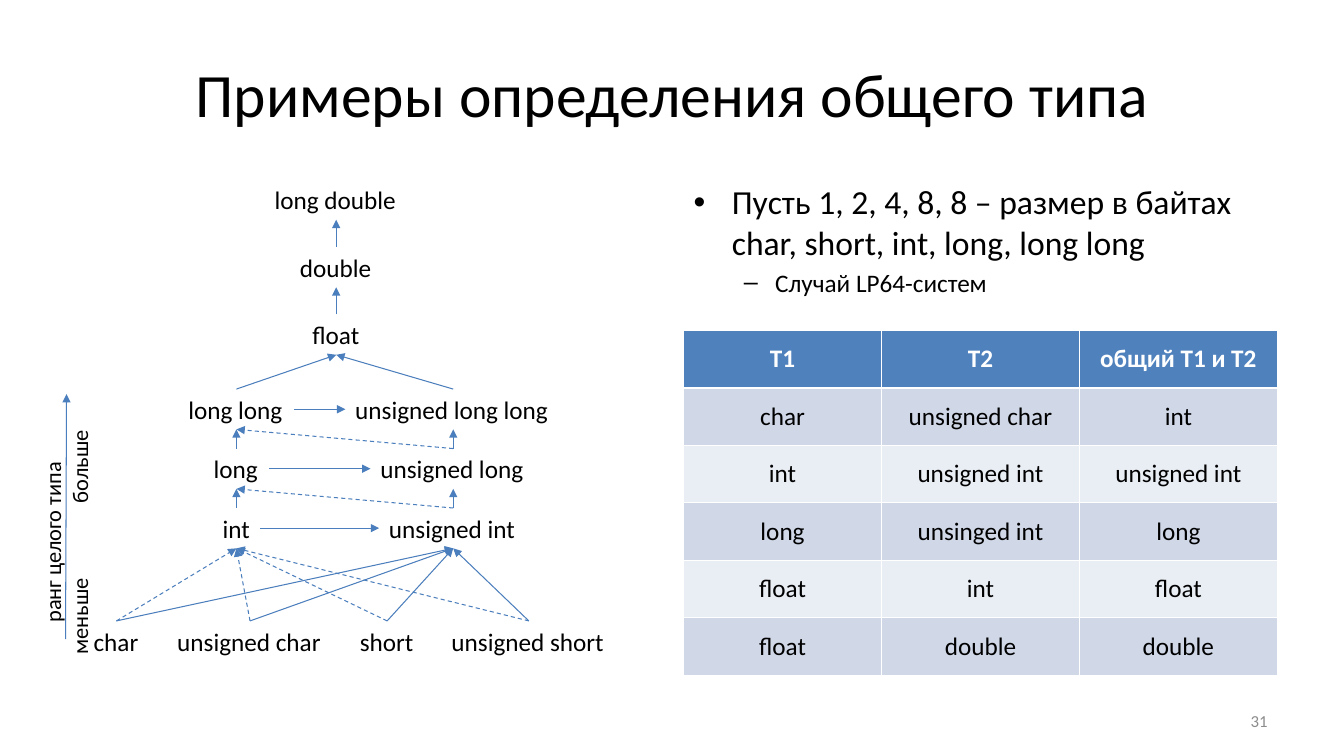
from dataclasses import dataclass

import pptx
import pptx.dml.color
import pptx.enum.dml
import pptx.enum.shapes
import pptx.enum.text
import pptx.oxml
import pptx.oxml.ns
import pptx.util
from pptx.util import Inches

COLORS = {"text": "000000", "arrow": "4B7EBC", "header": "4F81BD", "header_text": "FFFFFF",
          "band_dark": "D0D8E8", "band_light": "E9EDF4", "number": "8C8C8C"}
FONT = "Calibri"
ALIGN = pptx.enum.text.PP_ALIGN
ANCHOR = pptx.enum.text.MSO_ANCHOR
TOP, LEFT, BOTTOM, RIGHT = range(4)
NODE_HEIGHT = 0.4
SIGNED_X, UNSIGNED_X, REAL_X = 2.345, 4.495, 3.335
SMALL_TOP = 6.16


@dataclass(frozen=True)
class TypeNode:
    name: str
    center: float
    top: float
    width: float


@dataclass(frozen=True)
class Conversion:
    source: str
    target: str
    exit_side: int = TOP
    entry_side: int = BOTTOM
    dashed: bool = False


@dataclass(frozen=True)
class Bullet:
    text: str
    mark: str
    size: float
    margin: float
    hanging: float


NODES = [
    TypeNode("long double", REAL_X, 1.78, 1.42),
    TypeNode("double", REAL_X, 2.45, 0.92),
    TypeNode("float", REAL_X, 3.12, 0.67),
    TypeNode("long long", SIGNED_X, 3.86, 1.15),
    TypeNode("unsigned long long", UNSIGNED_X, 3.86, 2.14),
    TypeNode("long", SIGNED_X, 4.45, 0.65),
    TypeNode("unsigned long", UNSIGNED_X, 4.45, 1.64),
    TypeNode("int", SIGNED_X, 5.04, 0.47),
    TypeNode("unsigned int", UNSIGNED_X, 5.04, 1.47),
    TypeNode("char", 1.155, SMALL_TOP, 0.65),
    TypeNode("unsigned char", 2.48, SMALL_TOP, 1.64),
    TypeNode("short", 3.84, SMALL_TOP, 0.74),
    TypeNode("unsigned short", 5.245, SMALL_TOP, 1.73),
]
SMALL_TYPES = ["char", "unsigned char", "short", "unsigned short"]
RANKS = ["int", "long", "long long"]
CONVERSIONS = [
    *(Conversion(small, "int", dashed=True) for small in SMALL_TYPES),
    *(Conversion(small, "unsigned int") for small in SMALL_TYPES),
    *(Conversion(rank, f"unsigned {rank}", RIGHT, LEFT) for rank in RANKS),
    Conversion("long long", "float"),
    Conversion("unsigned long long", "float"),
    Conversion("float", "double"),
    Conversion("double", "long double"),
]
for lower, higher in zip(RANKS, RANKS[1:]):
    CONVERSIONS += [
        Conversion(lower, higher),
        Conversion(f"unsigned {lower}", f"unsigned {higher}"),
        Conversion(f"unsigned {lower}", higher, dashed=True),
    ]

BULLETS = [
    Bullet("Пусть 1, 2, 4, 8, 8 – размер в байтах char, short, int, long, long long",
           "•", 24, 0.38, 0.38),
    Bullet("Случай LP64-систем", "–", 18, 0.81, 0.31),
]
COMMON_TYPES = [
    ("T1", "T2", "общий T1 и T2"),
    ("char", "unsigned char", "int"),
    ("int", "unsigned int", "unsigned int"),
    ("long", "unsinged int", "long"),
    ("float", "int", "float"),
    ("float", "double", "double"),
]


def rgb(color: str) -> pptx.dml.color.RGBColor:
    return pptx.dml.color.RGBColor.from_string(COLORS[color])


def write(paragraph, text: str, size: float, color: str = "text",
          align=ALIGN.LEFT, bold: bool = False) -> None:
    paragraph.alignment = align
    run = paragraph.add_run()
    run.text = text
    run.font.name = FONT
    run.font.size = pptx.util.Pt(size)
    run.font.bold = bold
    run.font.color.rgb = rgb(color)


def add_box(slide, left: float, top: float, width: float, height: float,
            wrap: bool = True, anchor=ANCHOR.TOP):
    box = slide.shapes.add_textbox(Inches(left), Inches(top), Inches(width), Inches(height))
    box.text_frame.word_wrap = wrap
    box.text_frame.vertical_anchor = anchor
    return box


def add_arrow(slide, start: tuple[float, float] = (0, 0),
              end: tuple[float, float] = (0, 0), dashed: bool = False):
    arrow = slide.shapes.add_connector(pptx.enum.shapes.MSO_CONNECTOR.STRAIGHT,
                                       *map(Inches, start + end))
    arrow.line.color.rgb = rgb("arrow")
    arrow.line.width = pptx.util.Pt(0.75)
    if dashed:
        arrow.line.dash_style = pptx.enum.dml.MSO_LINE.DASH
    line = arrow.line._get_or_add_ln()
    line.append(pptx.oxml.parse_xml(
        f'<a:tailEnd {pptx.oxml.ns.nsdecls("a")} type="triangle"/>'))
    line.addnext(pptx.oxml.parse_xml(f'<a:effectLst {pptx.oxml.ns.nsdecls("a")}/>'))
    return arrow


def add_type_graph(slide) -> None:
    boxes = {}
    for node in NODES:
        box = add_box(slide, node.center - node.width / 2, node.top,
                      node.width, NODE_HEIGHT, wrap=False)
        write(box.text_frame.paragraphs[0], node.name, 18)
        boxes[node.name] = box
    for conversion in CONVERSIONS:
        arrow = add_arrow(slide, dashed=conversion.dashed)
        arrow.begin_connect(boxes[conversion.source], conversion.exit_side)
        arrow.end_connect(boxes[conversion.target], conversion.entry_side)


def add_rank_axis(slide) -> None:
    label = add_box(slide, -0.82, 5.06, 2.95, 0.64, wrap=False)
    label.rotation = 270
    frame = label.text_frame
    write(frame.paragraphs[0], "ранг целого типа", 16, align=ALIGN.CENTER)
    write(frame.add_paragraph(), "меньше\t\tбольше", 16, align=ALIGN.CENTER)
    add_arrow(slide, (0.65, 6.34), (0.66, 3.91))


def add_bullets(slide) -> None:
    frame = add_box(slide, 6.78, 1.75, 5.89, 1.4).text_frame
    for index, bullet in enumerate(BULLETS):
        paragraph = frame.add_paragraph() if index else frame.paragraphs[0]
        paragraph.level = index
        paragraph.space_before = pptx.util.Pt(bullet.size * 0.2)
        write(paragraph, bullet.text, bullet.size)
        properties = paragraph._p.get_or_add_pPr()
        properties.set("marL", str(Inches(bullet.margin)))
        properties.set("indent", str(-Inches(bullet.hanging)))
        for tag in (f'buFont {pptx.oxml.ns.nsdecls("a")} typeface="Arial"',
                    f'buChar {pptx.oxml.ns.nsdecls("a")} char="{bullet.mark}"'):
            properties.append(pptx.oxml.parse_xml(f"<a:{tag}/>"))


def add_common_type_table(slide) -> None:
    table = slide.shapes.add_table(len(COMMON_TYPES), len(COMMON_TYPES[0]), Inches(6.78),
                                   Inches(3.28), Inches(5.89), Inches(3.42)).table
    for row, names in enumerate(COMMON_TYPES):
        is_header = row == 0
        fill = "header" if is_header else "band_dark" if row % 2 else "band_light"
        for column, name in enumerate(names):
            cell = table.cell(row, column)
            cell.fill.solid()
            cell.fill.fore_color.rgb = rgb(fill)
            cell.vertical_anchor = ANCHOR.MIDDLE
            write(cell.text_frame.paragraphs[0], name, 18,
                  "header_text" if is_header else "text", ALIGN.CENTER, is_header)


def main() -> None:
    presentation = pptx.Presentation()
    presentation.slide_width = Inches(13.33)
    presentation.slide_height = Inches(7.5)
    slide = presentation.slides.add_slide(presentation.slide_layouts[6])
    title = add_box(slide, 0.67, 0.3, 12, 1.25, anchor=ANCHOR.MIDDLE)
    write(title.text_frame.paragraphs[0], "Примеры определения общего типа", 44,
          align=ALIGN.CENTER)
    add_bullets(slide)
    add_common_type_table(slide)
    add_type_graph(slide)
    add_rank_axis(slide)
    page_number = add_box(slide, 9.56, 6.95, 3.11, 0.4, anchor=ANCHOR.MIDDLE)
    write(page_number.text_frame.paragraphs[0], "31", 12, "number", ALIGN.RIGHT)
    presentation.save("out.pptx")


if __name__ == "__main__":
    main()
